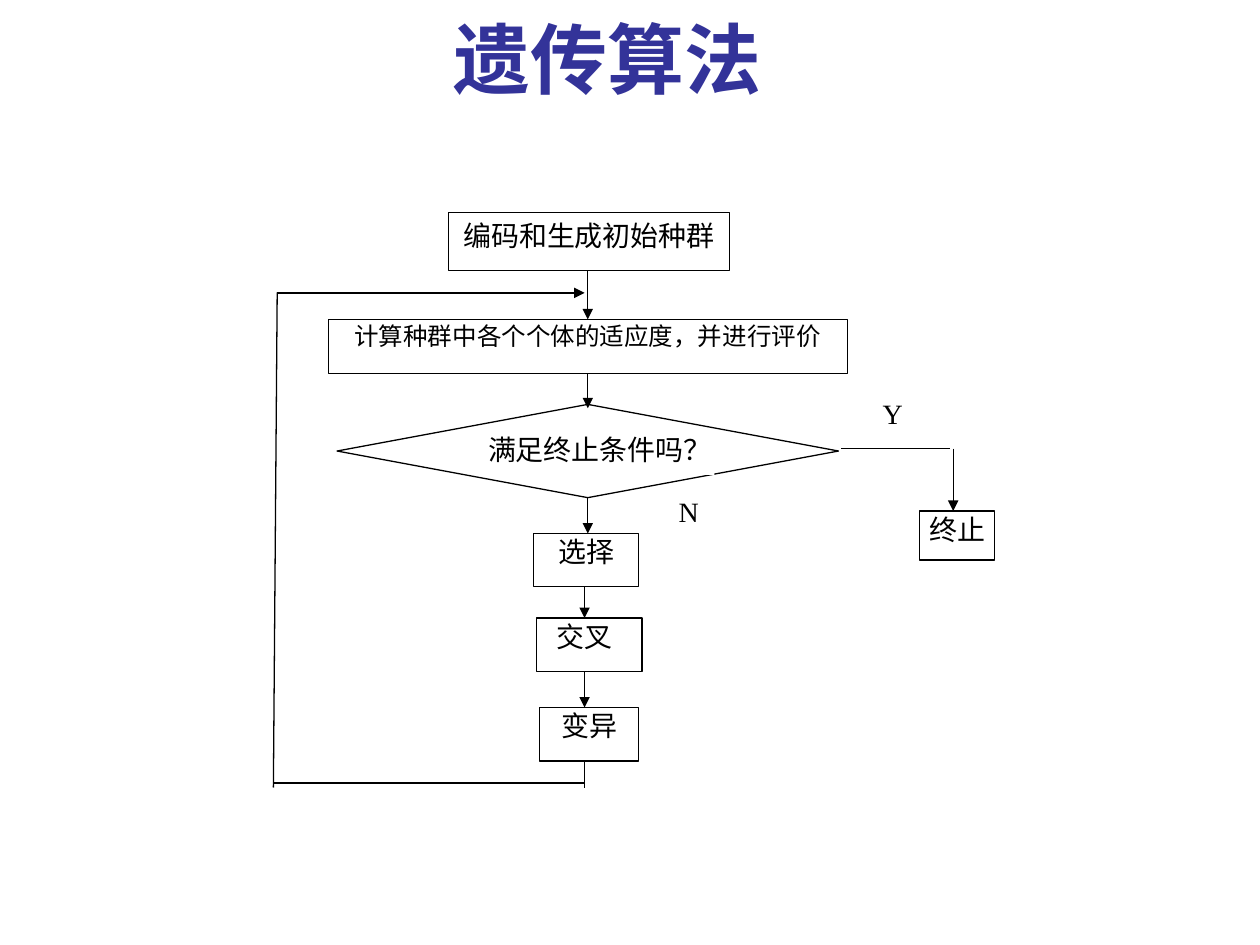
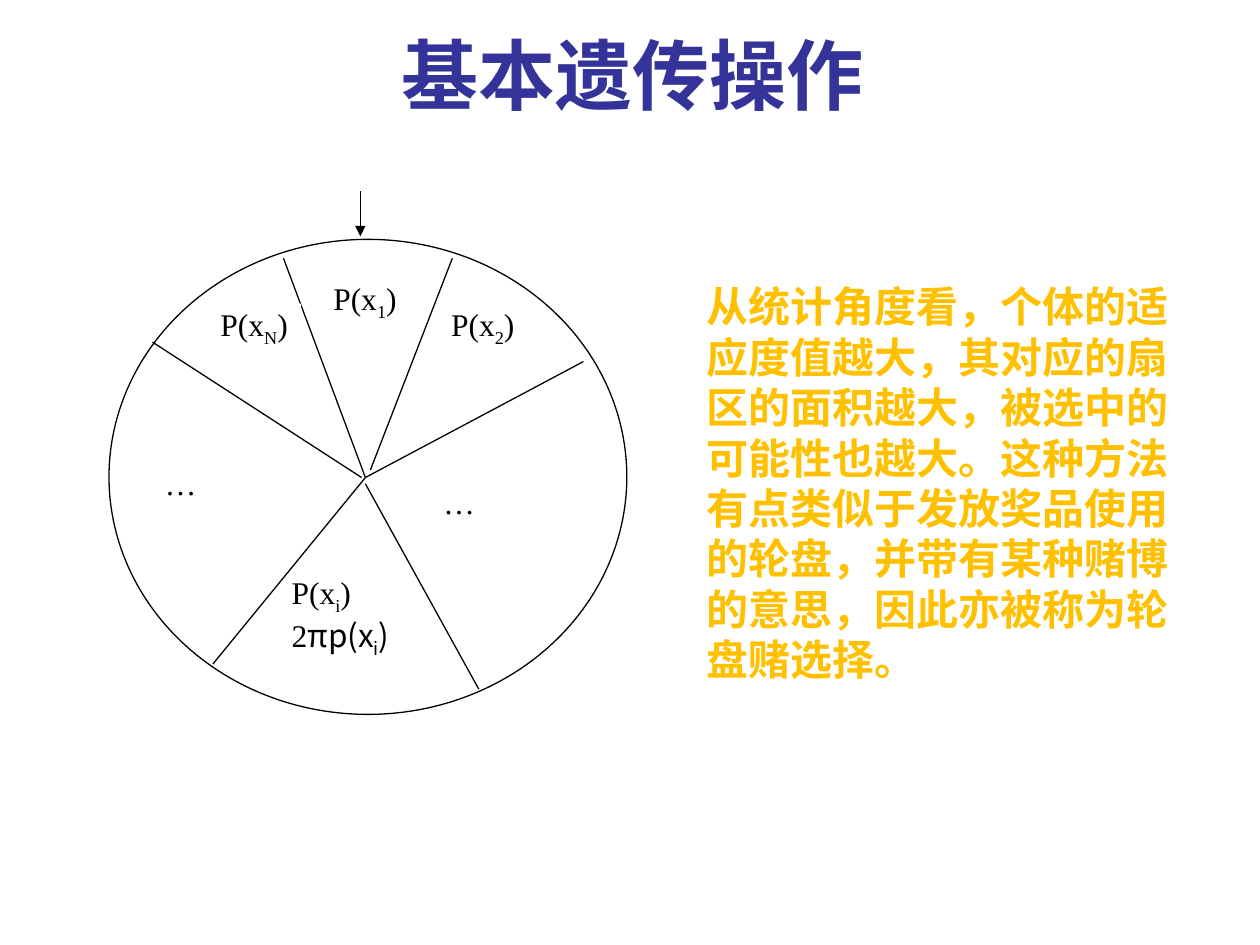
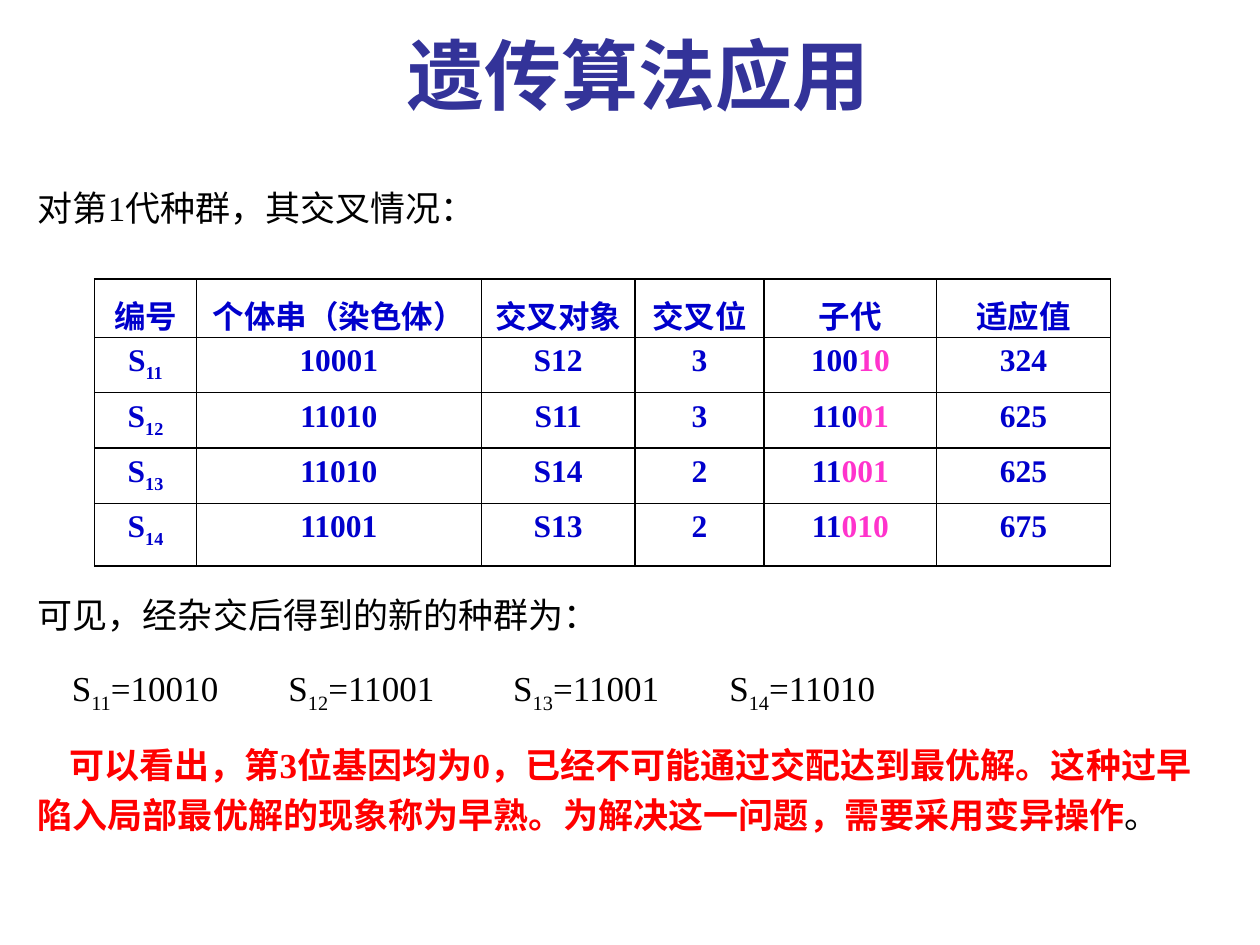
"""Build three slides on genetic algorithms: flow chart, roulette wheel, crossover table."""
from dataclasses import dataclass
from typing import NamedTuple

from lxml import etree
from pptx import Presentation
from pptx.dml.color import RGBColor
from pptx.enum.shapes import MSO_CONNECTOR, MSO_SHAPE
from pptx.enum.text import MSO_ANCHOR, MSO_AUTO_SIZE, PP_ALIGN
from pptx.oxml.ns import qn
from pptx.util import Inches, Pt

RECTANGLE, DIAMOND, OVAL = MSO_SHAPE.RECTANGLE, MSO_SHAPE.DIAMOND, MSO_SHAPE.OVAL
STRAIGHT = MSO_CONNECTOR.STRAIGHT
LEFT, CENTER, JUSTIFY = PP_ALIGN.LEFT, PP_ALIGN.CENTER, PP_ALIGN.JUSTIFY
TOP, MIDDLE = MSO_ANCHOR.TOP, MSO_ANCHOR.MIDDLE
FIXED = MSO_AUTO_SIZE.NONE

BLACK, WHITE, RED = "000000", "FFFFFF", "FF0000"
TITLE_BLUE, GOLD, TABLE_BLUE, PINK = "333399", "FFC000", "0000CC", "FF33CC"
SERIF, HEADING_FONT, SANS = "Times New Roman", "Noto Sans CJK JP", "Noto Sans CJK SC"
GRID_COLUMNS, GRID_ROWS = 100, 75
SLIDE_WIDTH, SLIDE_HEIGHT = Inches(10), Inches(7.5)
TITLE_ONLY, TITLE_AND_BODY = 5, 1
TIGHT = (0.02, 0.01, 0.02, 0.01)
ROOMY = (0.1, 0.05, 0.1, 0.05)


class Area(NamedTuple):
    """A rectangle in grid columns and rows."""
    column: float
    row: float
    width: float
    height: float


class Span(NamedTuple):
    """A piece of text with what sets it apart from its paragraph."""
    text: str
    subscript: bool = False
    color: str = ""
    bold: bool = False
    font: str = ""
    tracking: float = 0


class Style(NamedTuple):
    """Text look shared by the spans of a paragraph."""
    size: float
    color: str = BLACK
    font: str = SERIF
    bold: bool = False
    align: PP_ALIGN = LEFT


class Route(NamedTuple):
    """A straight line between two grid points."""
    start: tuple[float, float]
    end: tuple[float, float]
    arrow: bool = False


@dataclass(frozen=True)
class Box:
    """A white preset shape with optional outline and lines of text."""
    area: Area
    lines: tuple[tuple[Span, ...], ...] = ()
    size: float = 16
    outlined: bool = True
    kind: MSO_SHAPE = RECTANGLE
    insets: tuple[float, float, float, float] = TIGHT
    align: PP_ALIGN = CENTER


TITLE = Style(44, TITLE_BLUE, HEADING_FONT, True, CENTER)
REMARK = Style(24, GOLD, HEADING_FONT, True)
BODY = Style(20)
CELL = Style(18, TABLE_BLUE, SERIF, True, CENTER)


def rgb(value: str) -> RGBColor:
    """Turn a hex string into a colour."""
    return RGBColor.from_string(value)


def across(columns: float) -> int:
    """Convert grid columns to a length."""
    return round(SLIDE_WIDTH * columns / GRID_COLUMNS)


def down(rows: float) -> int:
    """Convert grid rows to a length."""
    return round(SLIDE_HEIGHT * rows / GRID_ROWS)


def place(area: Area) -> tuple[int, int, int, int]:
    """Convert a grid area to left, top, width and height."""
    return across(area.column), down(area.row), across(area.width), down(area.height)


def move(shape, area: Area) -> None:
    """Move a placeholder to a grid area."""
    shape.left, shape.top, shape.width, shape.height = place(area)


def plain(text: str) -> tuple[Span, ...]:
    """Make a line of one unmarked span."""
    return (Span(text),)


def indexed(name: str, index: str, rest: str = "", font: str = "") -> tuple[Span, ...]:
    """Make a line holding a name with a subscript."""
    spans = (Span(name, font=font), Span(index, subscript=True, font=font))
    return spans + ((Span(rest, font=font),) if rest else ())


def write_line(para, spans, style: Style) -> None:
    """Write spans into a paragraph and format them."""
    para.alignment = style.align
    para.space_before = Pt(0)
    for piece in spans:
        span = para.add_run()
        span.text = piece.text
        font = span.font
        font.size = Pt(style.size)
        font.name = piece.font or style.font
        font.bold = style.bold or piece.bold
        font.color.rgb = rgb(piece.color or style.color)
        properties = span._r.get_or_add_rPr()
        if piece.subscript:
            properties.set("baseline", "-25000")
        if piece.tracking:
            properties.set("spc", str(round(piece.tracking * 100)))


def write_lines(frame, lines, style: Style) -> None:
    """Write one paragraph for each line."""
    for number, spans in enumerate(lines):
        para = frame.add_paragraph() if number else frame.paragraphs[0]
        write_line(para, spans, style)


def set_insets(frame, insets) -> None:
    """Set the four inner margins of a text frame or cell."""
    (frame.margin_left, frame.margin_top,
     frame.margin_right, frame.margin_bottom) = map(Inches, insets)


def draw_box(page, box: Box) -> None:
    """Draw a white shape with its text."""
    shape = page.shapes.add_shape(box.kind, *place(box.area))
    shape.shadow.inherit = False
    shape.fill.solid()
    shape.fill.fore_color.rgb = rgb(WHITE)
    if box.outlined:
        shape.line.color.rgb = rgb(BLACK)
        shape.line.width = Pt(0.75)
    else:
        shape.line.fill.background()
    frame = shape.text_frame
    frame.word_wrap = True
    frame.vertical_anchor = TOP
    set_insets(frame, box.insets)
    write_lines(frame, box.lines, Style(box.size, align=box.align))


def draw_route(page, route: Route) -> None:
    """Draw a thin black line, with an arrowhead when asked."""
    (x1, y1), (x2, y2) = route.start, route.end
    line = page.shapes.add_connector(STRAIGHT, across(x1), down(y1), across(x2), down(y2))
    line.line.color.rgb = rgb(BLACK)
    line.line.width = Pt(0.75)
    properties = line.element.spPr
    if route.arrow:
        etree.SubElement(properties.find(qn("a:ln")), qn("a:tailEnd"), type="triangle")
    etree.SubElement(properties, qn("a:effectLst"))


def add_page(deck, layout: int, title: str, column: float, row: float):
    """Add a slide with its heading."""
    page = deck.slides.add_slide(deck.slide_layouts[layout])
    heading = page.shapes.title
    move(heading, Area(column, row, 61, 8.4))
    frame = heading.text_frame
    frame.auto_size = FIXED
    frame.vertical_anchor = MIDDLE
    write_lines(frame, [plain(title)], TITLE)
    return page


def fill_body(page, area: Area, lines, style: Style):
    """Fill the body placeholder with unbulleted paragraphs."""
    body = page.placeholders[1]
    move(body, area)
    frame = body.text_frame
    frame.auto_size = FIXED
    frame.vertical_anchor = TOP
    write_lines(frame, lines, style)
    for para in body.element.iter(qn("a:p")):
        properties = para.get_or_add_pPr()
        properties.set("marL", "0")
        properties.set("indent", "0")
        etree.SubElement(properties, qn("a:buNone"))
    return body


def set_east_asian_fonts(page) -> None:
    """Give Chinese characters a sans font beside the serif Latin ones."""
    for latin in list(page.element.iter(qn("a:latin"))):
        name = latin.get("typeface")
        east = etree.Element(qn("a:ea"), typeface=SANS if name == SERIF else name)
        latin.addnext(east)


def draw_borders(table_shape) -> None:
    """Give every cell thin black borders."""
    for properties in table_shape.element.iter(qn("a:tcPr")):
        for position, side in enumerate(("lnL", "lnR", "lnT", "lnB")):
            border = etree.Element(qn(f"a:{side}"), w=str(Pt(1)))
            fill = etree.SubElement(border, qn("a:solidFill"))
            etree.SubElement(fill, qn("a:srgbClr"), val=BLACK)
            properties.insert(position, border)


def build_flow(deck) -> None:
    """Draw the flow chart of the algorithm."""
    page = add_page(deck, TITLE_ONLY, "遗传算法", 17.7, 0.4)
    boxes = (
        Box(Area(26.05, 25.35, 41.2, 4.3), (plain("计算种群中各个个体的适应度，并进行评价"),), 14,
            insets=(0.06, 0.01, 0.06, 0.01)),
        Box(Area(26.75, 32.1, 39.8, 7.4), kind=DIAMOND),
        Box(Area(38.5, 34.2, 18.2, 3.5), (plain("满足终止条件吗？"),), outlined=False),
        Box(Area(73, 40.55, 5.95, 3.9), (plain("终止"),)),
        Box(Area(42.6, 49.05, 8.35, 4.25), (plain("交叉"),), insets=(0.02, 0.01, 0.1, 0.01)),
        Box(Area(42.8, 56.15, 7.9, 4.25), (plain("变异"),)),
        Box(Area(68.2, 31.4, 5.3, 3.5), (plain("Y"),), outlined=False),
        Box(Area(35.6, 16.85, 22.3, 4.6), (plain("编码和生成初始种群"),), insets=ROOMY),
        Box(Area(51.9, 39.15, 5.5, 3.9), (plain("N"),), outlined=False),
        Box(Area(42.35, 42.35, 8.35, 4.2), (plain("选择"),), insets=(0.1, 0.01, 0.1, 0.01)),
    )
    routes = (
        Route((66.75, 35.6), (75.4, 35.6)),
        Route((75.65, 35.6), (75.65, 40.55), True),
        Route((46.4, 60.4), (46.4, 62.5)),
        Route((46.4, 62.15), (21.7, 62.15)),
        Route((21.7, 62.5), (22, 23.2)),
        Route((22, 23.25), (46.4, 23.25), True),
        Route((46.65, 21.5), (46.65, 25.35), True),
        Route((46.65, 29.65), (46.65, 32.4), True),
        Route((46.65, 39.5), (46.65, 42.35), True),
        Route((46.4, 46.55), (46.4, 49.05), True),
        Route((46.4, 53.3), (46.4, 56.15), True),
    )
    for box in boxes:
        draw_box(page, box)
    for route in routes:
        draw_route(page, route)
    set_east_asian_fonts(page)


def build_wheel(deck) -> None:
    """Draw the roulette wheel and its explanation."""
    page = add_page(deck, TITLE_AND_BODY, "基本遗传操作", 19.7, 1.65)
    remark = ("从统计角度看，个体的适应度值越大，其对应的扇区的面积越大，被选中的可能性也越大。"
              "这种方法有点类似于发放奖品使用的轮盘，并带有某种赌博的意思，因此亦被称为轮盘赌选择。")
    fill_body(page, Area(55.1, 21.8, 41.7, 33.3), [plain(remark)], REMARK)
    draw_box(page, Box(Area(8.65, 19, 41.1, 37.7), kind=OVAL))
    routes = (
        Route((35.9, 20.5), (29.4, 37.3)),
        Route((22.5, 20.5), (29, 37.9)),
        Route((29, 37.9), (46.3, 28.7)),
        Route((29, 37.9), (16.9, 52.7)),
        Route((29, 38.4), (38, 54.7)),
        Route((28.7, 37.9), (12.1, 27.15)),
        Route((28.6, 15.2), (28.6, 18.75), True),
    )
    for route in routes:
        draw_route(page, route)
    ellipsis = (plain("…"),)
    sector = (indexed("P(x", "i", ")"),
              plain("2") + indexed("πp(x", "i", ")", SANS))
    labels = (
        (Area(26.25, 22.05, 6.6, 5.1), (indexed("P(x", "1", ")"),), TIGHT),
        (Area(35.6, 24.1, 6.9, 5.6), (indexed("P(x", "2", ")"),), TIGHT),
        (Area(17.3, 24.1, 6.6, 5.6), (indexed("P(x", "N", ")"),), TIGHT),
        (Area(34.2, 37.85, 10.4, 6.1), ellipsis, ROOMY),
        (Area(12.1, 36.3, 11.4, 6.6), ellipsis, ROOMY),
        (Area(23.15, 45.5, 9, 9.2), sector, (0, 0, 0, 0)),
    )
    for area, lines, insets in labels:
        draw_box(page, Box(area, lines, 18, False, insets=insets, align=JUSTIFY))
    set_east_asian_fonts(page)


def draw_crossover_table(page) -> None:
    """Draw the table of crossover pairs."""
    headers = ("编号", "个体串（染色体）", "交叉对象", "交叉位", "子代", "适应值")
    pairs = (
        ("11", "10001", "S12", "3", "10010", "324"),
        ("12", "11010", "S11", "3", "11001", "625"),
        ("13", "11010", "S14", "2", "11001", "625"),
        ("14", "11001", "S13", "2", "11010", "675"),
    )
    widths = (8.1, 22.6, 12.2, 10.25, 13.7, 13.8)
    heights = (4, 4.4, 4.4, 4.4, 4.95)
    rows = [[plain(text) for text in headers]]
    for index, string, partner, cut, child, fitness in pairs:
        offspring = (Span(child[:int(cut)]), Span(child[int(cut):], color=PINK))
        rows.append([indexed("S", index), plain(string), plain(partner), plain(cut),
                     offspring, plain(fitness)])
    area = Area(7.5, 22.15, sum(widths), sum(heights))
    shape = page.shapes.add_table(len(rows), len(headers), *place(area))
    table = shape.table
    table.first_row = table.horz_banding = False
    for column, width in zip(table.columns, widths):
        column.width = across(width)
    for row, height in zip(table.rows, heights):
        row.height = down(height)
    for row_number, row in enumerate(rows):
        for column_number, spans in enumerate(row):
            cell = table.cell(row_number, column_number)
            cell.fill.background()
            set_insets(cell, (0.05, 0.05 if row_number else 0.1, 0.05, 0))
            write_line(cell.text_frame.paragraphs[0], spans, CELL)
    draw_borders(shape)


def build_application(deck) -> None:
    """Show the crossover results of the first generation."""
    page = add_page(deck, TITLE_AND_BODY, "遗传算法应用", 20.2, 1.65)
    offspring = (("11", "10010", 35), ("12", "11001", 40), ("13", "11001", 35), ("14", "11010", 0))
    population = ()
    for index, string, gap in offspring:
        population += indexed("S", index, f"={string}")
        if gap:
            population += (Span(" ", tracking=gap),)
    warning = ("可以看出，第3位基因均为0，已经不可能通过交配达到最优解。"
               "这种过早陷入局部最优解的现象称为早熟。为解决这一问题，需要采用变异操作")
    lines = (
        plain("对第1代种群，其交叉情况："),
        plain("可见，经杂交后得到的新的种群为："),
        population,
        (Span(warning, color=RED, bold=True), Span("。")),
    )
    body = fill_body(page, Area(2, 14.3, 96.1, 52.5), lines, BODY)
    table_gap, line_gap = 204, 12
    for para, gap in zip(body.text_frame.paragraphs[1:], (table_gap, line_gap, line_gap)):
        para.space_before = Pt(gap)
        para.line_spacing = 1.2
    paragraphs = list(body.element.iter(qn("a:p")))
    for para, indent in zip(paragraphs[2:], (2.7, 2.5)):
        para.get_or_add_pPr().set("indent", str(across(indent)))
    draw_crossover_table(page)
    set_east_asian_fonts(page)


def main() -> None:
    """Build and save the deck."""
    deck = Presentation()
    deck.slide_width, deck.slide_height = SLIDE_WIDTH, SLIDE_HEIGHT
    build_flow(deck)
    build_wheel(deck)
    build_application(deck)
    deck.save("out.pptx")


main()
